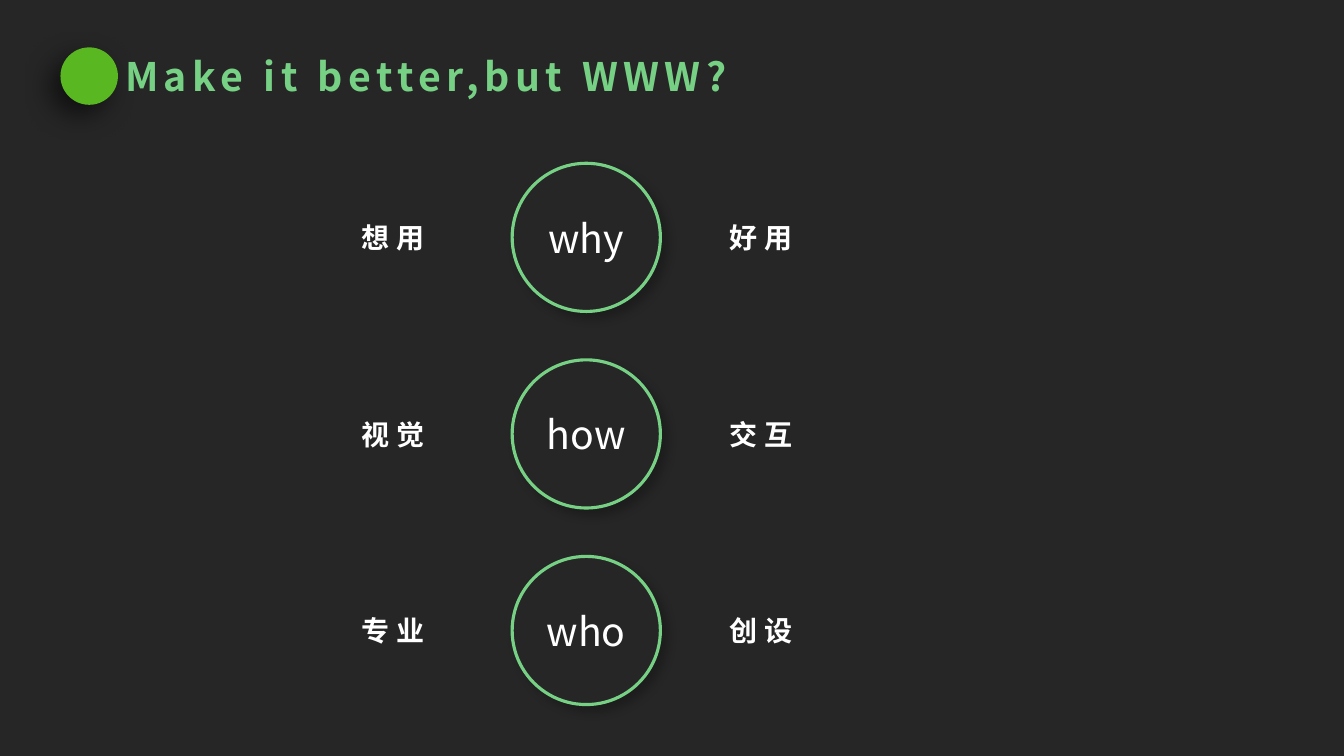
from dataclasses import dataclass

from lxml import etree
from pptx import Presentation
from pptx.dml.color import RGBColor
from pptx.enum.shapes import MSO_SHAPE
from pptx.enum.text import MSO_ANCHOR, PP_ALIGN
from pptx.oxml.ns import qn
from pptx.shapes.autoshape import Shape
from pptx.slide import Slide
from pptx.util import Inches, Pt

OVAL = MSO_SHAPE.OVAL
MIDDLE = MSO_ANCHOR.MIDDLE
LEFT, CENTER = PP_ALIGN.LEFT, PP_ALIGN.CENTER

DARK = RGBColor(0x26, 0x26, 0x26)
GREEN = RGBColor(0x59, 0xB7, 0x21)
MINT = RGBColor(0x77, 0xD1, 0x85)
WHITE = RGBColor(0xFF, 0xFF, 0xFF)
FONT = "Noto Sans CJK SC"

# Grid in inches: three rows at an equal pitch, labels on both sides
WIDTH, HEIGHT = 13.33, 7.5
TOP, PITCH = 1.62, 1.95
RING_X, RING = 5.08, 1.47
LEFT_X, RIGHT_X = 3.49, 7.14
LABEL_W, LABEL_H = 0.84, 0.46
HEAD_Y, DOT = 0.47, 0.57


@dataclass(frozen=True)
class Row:
    left: str
    word: str
    right: str


@dataclass(frozen=True)
class Shade:
    alpha: int
    blur: float
    dist: float
    angle: int


ROWS = (
    Row("想 用", "why", "好 用"),
    Row("视 觉", "how", "交 互"),
    Row("专 业", "who", "创 设"),
)
DOT_SHADE = Shade(60, 20, 10, 135)
RING_SHADE = Shade(23, 7, 5.9, 45)


def write(shape: Shape, text: str, size: int, color: RGBColor,
          bold: bool = False, align: PP_ALIGN = LEFT, gap: int = 0) -> None:
    """Fill a shape with one styled line; gap is letter spacing in points."""
    frame = shape.text_frame
    frame.text = text
    frame.vertical_anchor = MIDDLE
    line = frame.paragraphs[0]
    line.alignment = align
    run = line.runs[0]
    font = run.font
    font.size, font.bold, font.name = Pt(size), bold, FONT
    font.color.rgb = color
    props = run._r.get_or_add_rPr()
    etree.SubElement(props, qn("a:ea"), typeface=FONT)
    if gap:
        props.set("spc", str(gap * 100))


def cast(shape: Shape, shade: Shade) -> None:
    """Give a shape a black outer shadow."""
    shape.shadow.inherit = False
    effects = shape._element.spPr.find(qn("a:effectLst"))
    outer = etree.SubElement(
        effects, qn("a:outerShdw"), blurRad=str(int(Pt(shade.blur))),
        dist=str(int(Pt(shade.dist))), dir=str(shade.angle * 60000),
        algn="ctr", rotWithShape="0")
    black = etree.SubElement(outer, qn("a:srgbClr"), val="000000")
    etree.SubElement(black, qn("a:alpha"), val=str(shade.alpha * 1000))


def disc(slide: Slide, x: float, y: float, size: float,
         fill: RGBColor, shade: Shade) -> Shape:
    shape = slide.shapes.add_shape(
        OVAL, Inches(x), Inches(y), Inches(size), Inches(size))
    shape.fill.solid()
    shape.fill.fore_color.rgb = fill
    shape.line.fill.background()
    cast(shape, shade)
    return shape


def label(slide: Slide, x: float, y: float, text: str) -> None:
    box = slide.shapes.add_textbox(
        Inches(x), Inches(y), Inches(LABEL_W), Inches(LABEL_H))
    box.text_frame.word_wrap = False
    write(box, text, 20, WHITE, bold=True)


def header(slide: Slide) -> None:
    disc(slide, 0.6, HEAD_Y, DOT, GREEN, DOT_SHADE)
    title = slide.shapes.title
    title.left, title.top = Inches(1.14), Inches(HEAD_Y)
    title.width, title.height = Inches(7.07), Inches(DOT)
    write(title, "Make it better,but WWW?", 28, MINT, bold=True, gap=4)


def band(slide: Slide, row: Row, y: float) -> None:
    ring = disc(slide, RING_X, y, RING, DARK, RING_SHADE)
    ring.line.color.rgb = MINT
    ring.line.width = Pt(2.25)
    write(ring, row.word, 28, WHITE, align=CENTER)
    mid = y + (RING - LABEL_H) / 2
    label(slide, LEFT_X, mid, row.left)
    label(slide, RIGHT_X, mid, row.right)


def main() -> None:
    deck = Presentation()
    deck.slide_width, deck.slide_height = Inches(WIDTH), Inches(HEIGHT)
    slide = deck.slides.add_slide(deck.slide_layouts[5])

    # Dark backdrop
    slide.background.fill.solid()
    slide.background.fill.fore_color.rgb = DARK

    # Title, then one band per question
    header(slide)
    for i, row in enumerate(ROWS):
        band(slide, row, TOP + i * PITCH)

    deck.save("out.pptx")


if __name__ == "__main__":
    main()
